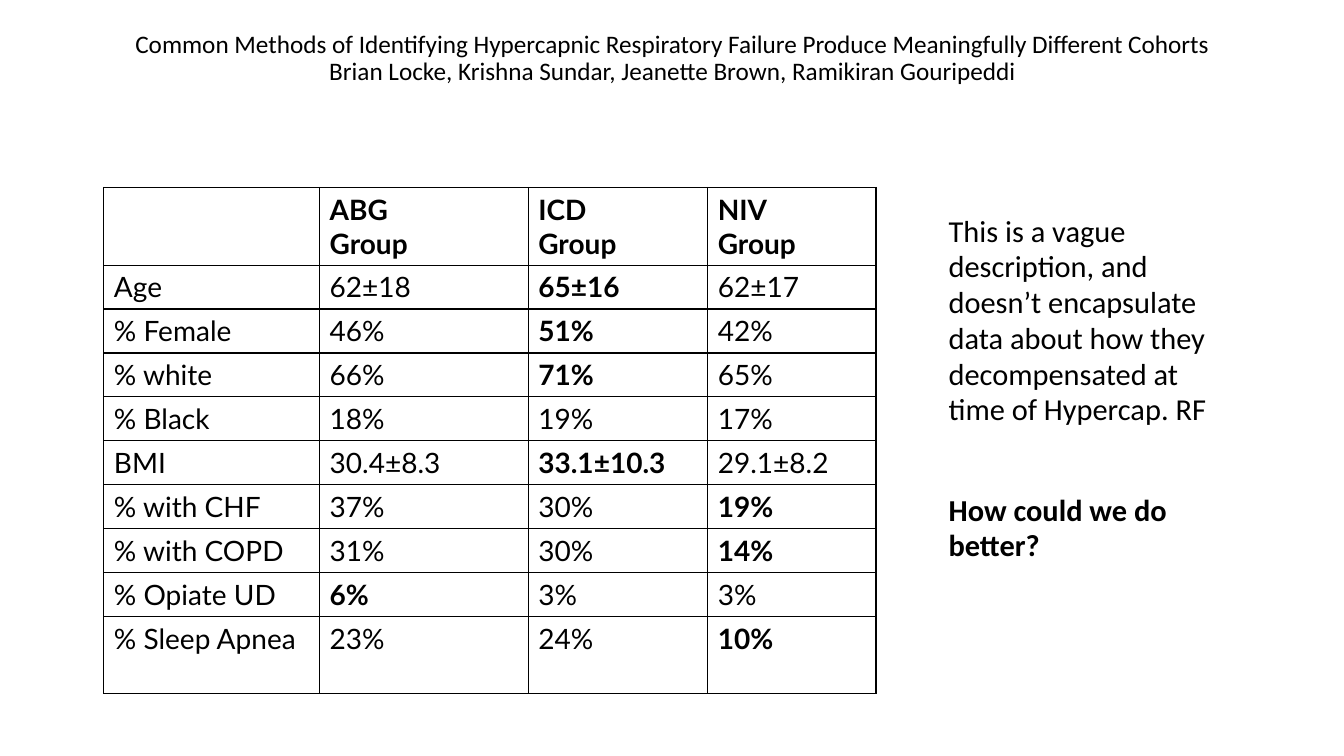
from lxml import etree
from pptx import Presentation
from pptx.dml.color import RGBColor
from pptx.enum.text import MSO_ANCHOR, PP_ALIGN
from pptx.oxml.ns import qn
from pptx.util import Inches, Pt

BLACK = RGBColor(0x00, 0x00, 0x00)
WHITE = RGBColor(0xFF, 0xFF, 0xFF)
CENTER = PP_ALIGN.CENTER
MIDDLE = MSO_ANCHOR.MIDDLE

COLUMN_WIDTHS = [2.14, 2.07, 1.78, 1.67]
ROW_HEIGHTS = [0.71] + [0.4] * 8 + [0.77]
COHORTS = [
    ["", "ABG\nGroup", "ICD\nGroup", "NIV\nGroup"],
    ["Age", "62±18", "65±16", "62±17"],
    ["% Female", "46%", "51%", "42%"],
    ["% white", "66%", "71%", "65%"],
    ["% Black", "18%", "19%", "17%"],
    ["BMI", "30.4±8.3", "33.1±10.3", "29.1±8.2"],
    ["% with CHF", "37%", "30%", "19%"],
    ["% with COPD", "31%", "30%", "14%"],
    ["% Opiate UD", "6%", "3%", "3%"],
    ["% Sleep Apnea", "23%", "24%", "10%"],
]
STANDOUT_COLUMN = {1: 2, 2: 2, 3: 2, 5: 2, 6: 3, 7: 3, 8: 1, 9: 3}


def format_font(paragraph, face, size, bold=False):
    values = {"name": face, "size": Pt(size), "bold": bold}
    for run in paragraph.runs:
        for key, value in values.items():
            setattr(run.font, key, value)
        run.font.color.rgb = BLACK


def add_borders(cell):
    properties = cell._tc.get_or_add_tcPr()
    for position, side in enumerate(("a:lnL", "a:lnR", "a:lnT", "a:lnB")):
        line = etree.Element(qn(side), w=str(Pt(1)))
        fill = etree.SubElement(line, qn("a:solidFill"))
        etree.SubElement(fill, qn("a:srgbClr"), val=str(BLACK))
        properties.insert(position, line)


prs = Presentation()
prs.slide_width = Inches(13.33)
prs.slide_height = Inches(7.5)
slide = prs.slides.add_slide(prs.slide_layouts[6])
slide.background.fill.solid()
slide.background.fill.fore_color.rgb = WHITE

cohort_table = slide.shapes.add_table(
    len(ROW_HEIGHTS), len(COLUMN_WIDTHS),
    Inches(1.03), Inches(1.86), Inches(7.67), Inches(5)).table
cohort_table.first_row = False
cohort_table.horz_banding = False
for column, width in zip(cohort_table.columns, COLUMN_WIDTHS):
    column.width = Inches(width)
for row, height in zip(cohort_table.rows, ROW_HEIGHTS):
    row.height = Inches(height)

for r, values in enumerate(COHORTS):
    for c, value in enumerate(values):
        cell = cohort_table.cell(r, c)
        cell.text = value
        cell.fill.background()
        add_borders(cell)
        for paragraph in cell.text_frame.paragraphs:
            format_font(paragraph, "Lato", 20, r == 0 or STANDOUT_COLUMN.get(r) == c)

title = slide.shapes.add_textbox(
    Inches(0.92), Inches(0.22), Inches(11.5), Inches(0.73)).text_frame
title.word_wrap = True
title.vertical_anchor = MIDDLE
title.text = (
    "Common Methods of Identifying Hypercapnic Respiratory Failure "
    "Produce Meaningfully Different Cohorts\v"
    "Brian Locke, Krishna Sundar, Jeanette Brown, Ramikiran Gouripeddi")
title.paragraphs[0].alignment = CENTER
title.paragraphs[0].line_spacing = 0.9
format_font(title.paragraphs[0], "Calibri", 18)

commentary = slide.shapes.add_textbox(
    Inches(9.31), Inches(2.07), Inches(2.99), Inches(4.59)).text_frame
commentary.word_wrap = True
commentary.text = (
    "This is a vague description, and doesn’t encapsulate data about how "
    "they decompensated at time of Hypercap. RF\nHow could we do better?")
description, question = commentary.paragraphs
question.space_before = Pt(46)
for paragraph in (description, question):
    paragraph.line_spacing = 0.98
    format_font(paragraph, "Calibri", 21.7, paragraph is question)

prs.save("out.pptx")
